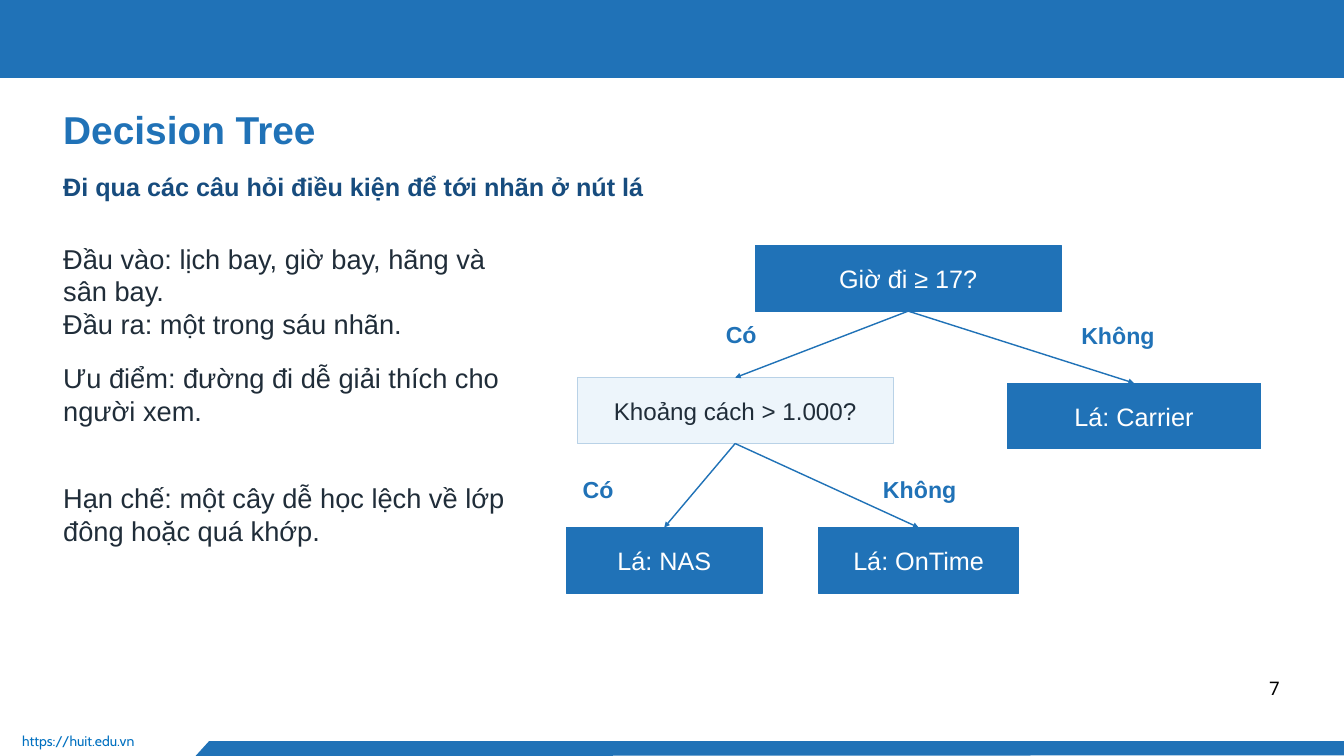
"""Build the decision tree slide."""
from lxml import etree
from pptx import Presentation
from pptx.dml.color import RGBColor
from pptx.enum.shapes import MSO_CONNECTOR, MSO_SHAPE
from pptx.enum.text import MSO_ANCHOR, PP_ALIGN
from pptx.oxml.ns import qn
from pptx.util import Inches, Pt

RECT = MSO_SHAPE.RECTANGLE
STRAIGHT = MSO_CONNECTOR.STRAIGHT
TOP, MIDDLE = MSO_ANCHOR.TOP, MSO_ANCHOR.MIDDLE
LEFT, CENTER = PP_ALIGN.LEFT, PP_ALIGN.CENTER
BLUE, NAVY, INK, WHITE = "2072B7", "174C7E", "202D39", "FFFFFF"
PALE, EDGE = "EDF5FB", "B9D2E7"


def rgb(code):
    return RGBColor.from_string(code)


def write(shape, lines, size, color, bold=False, font="Arial", gap=None,
          align=LEFT, anchor=TOP, pad=0):
    frame = shape.text_frame
    frame.word_wrap = True
    frame.vertical_anchor = anchor
    frame.margin_left = frame.margin_right = Inches(pad)
    frame.margin_top = frame.margin_bottom = Inches(pad)
    for i, line in enumerate(lines):
        para = frame.add_paragraph() if i else frame.paragraphs[0]
        para.alignment = align
        para.line_spacing = Pt(gap or round(size * 1.2, 1))
        run = para.add_run()
        run.text = line
        run.font.size = Pt(size)
        run.font.name = font
        run.font.bold = bold
        run.font.color.rgb = rgb(color)


prs = Presentation()
prs.slide_width, prs.slide_height = Inches(20), Inches(11.25)
slide = prs.slides.add_slide(prs.slide_layouts[5])
shapes = slide.shapes

title = shapes.title
title.left, title.top = Inches(0.94), Inches(1.58)
title.width, title.height = Inches(18.12), Inches(0.92)
write(title, ["Decision Tree"], 41.6, BLUE, True)

band = shapes.add_shape(RECT, 0, Inches(-0.01), Inches(20), Inches(1.17))
pen = shapes.build_freeform(Inches(3.11), Inches(11.03), scale=1)
pen.add_line_segments([(Inches(x), Inches(y)) for x, y in
                       [(20, 11.03), (20, 11.24), (2.91, 11.25)]])
foot = pen.convert_to_shape()
for bar in (band, foot):
    bar.shadow.inherit = False
    bar.fill.solid()
    bar.fill.fore_color.rgb = rgb(BLUE)
    bar.line.fill.background()

body = [
    ["Đầu vào: lịch bay, giờ bay, hãng và sân bay.",
     "Đầu ra: một trong sáu nhãn."],
    ["Ưu điểm: đường đi dễ giải thích cho người xem."],
    ["Hạn chế: một cây dễ học lệch về lớp đông hoặc quá khớp."],
]
texts = [
    (0.94, 2.55, 18.12, 0.73,
     ["Đi qua các câu hỏi điều kiện để tới nhãn ở nút lá"],
     dict(size=27, color=NAVY, bold=True)),
    (0.33, 10.9, 2.47, 0.4, ["https://huit.edu.vn"],
     dict(size=15, color="0070C0", font="Cabin")),
    (18.88, 10.02, 0.17, 0.27, ["7"],
     dict(size=20, color="000000", font="Noto Sans", gap=28, align=CENTER)),
]
for i, lines in enumerate(body):
    texts.append((0.94, 3.6 + 1.78 * i, 6.64, 1.53, lines,
                  dict(size=29.2, color=INK, gap=35.1)))
for x, y, wide, word in [(10.8, 4.77, 1.02, "Có"), (16.09, 4.79, 1.48, "Không"),
                         (8.67, 7.07, 1.09, "Có"), (13.14, 7.07, 1.56, "Không")]:
    texts.append((x, y, wide, 0.48, [word],
                  dict(size=24.8, color=BLUE, bold=True, gap=29.7)))
for x, y, wide, high, lines, style in texts:
    box = shapes.add_textbox(Inches(x), Inches(y), Inches(wide), Inches(high))
    write(box, lines, **style)

nodes = {}
for key, x, y, wide, label, size, fill, edge, ink in [
    ("hour", 11.24, 3.65, 4.55, "Giờ đi ≥ 17?", 27, BLUE, BLUE, WHITE),
    ("range", 8.59, 5.62, 4.7, "Khoảng cách > 1.000?", 25.9, PALE, EDGE, INK),
    ("carrier", 14.99, 5.7, 3.77, "Lá: Carrier", 27, BLUE, BLUE, WHITE),
    ("nas", 8.43, 7.85, 2.91, "Lá: NAS", 27, BLUE, BLUE, WHITE),
    ("ontime", 12.18, 7.85, 2.98, "Lá: OnTime", 27, BLUE, BLUE, WHITE),
]:
    node = shapes.add_shape(RECT, Inches(x), Inches(y), Inches(wide), Inches(0.98))
    node.shadow.inherit = False
    node.fill.solid()
    node.fill.fore_color.rgb = rgb(fill)
    node.line.color.rgb = rgb(edge)
    node.line.width = Pt(1.13)
    write(node, [label], size, ink, align=CENTER, anchor=MIDDLE, pad=0.06)
    nodes[key] = node

for start, end in [("hour", "range"), ("hour", "carrier"),
                   ("range", "nas"), ("range", "ontime")]:
    link = shapes.add_connector(STRAIGHT, 0, 0, 0, 0)
    link.begin_connect(nodes[start], 2)
    link.end_connect(nodes[end], 0)
    link.line.color.rgb = rgb(BLUE)
    link.line.width = Pt(1.5)
    etree.SubElement(link.line._get_or_add_ln(), qn("a:tailEnd"), type="triangle")
    etree.SubElement(link._element.spPr, qn("a:effectLst"))

prs.save("out.pptx")
